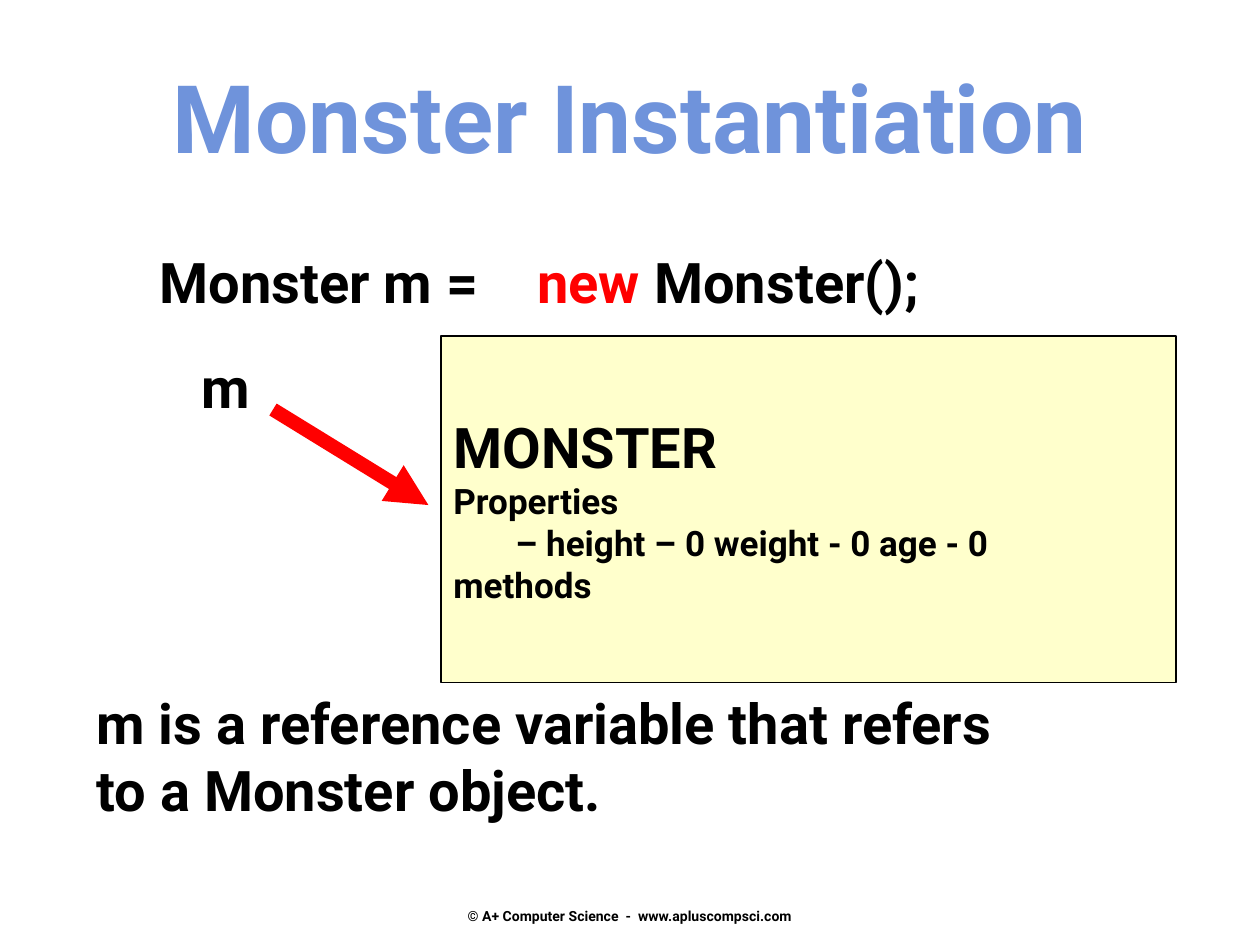
"""Build the Monster Instantiation slide."""
from dataclasses import dataclass

from lxml.etree import SubElement
from pptx import Presentation
from pptx.dml.color import RGBColor
from pptx.enum.shapes import MSO_CONNECTOR, MSO_SHAPE
from pptx.enum.text import MSO_ANCHOR, PP_ALIGN
from pptx.oxml.ns import qn
from pptx.util import Inches, Pt

COLUMNS, ROWS = 120, 90
WIDTH, HEIGHT = Inches(10), Inches(7.5)
BLACK, RED, BLUE, CREAM = "000000", "FF0000", "6F93DB", "FFFFCC"


@dataclass(frozen=True)
class Run:
    """A stretch of text in one size and colour."""
    text: str
    size: float = 32
    color: str = BLACK


@dataclass(frozen=True)
class Line:
    """A paragraph of runs with an optional indent in columns."""
    runs: tuple[Run, ...]
    indent: float = 0


@dataclass(frozen=True)
class Block:
    """A text block placed on the grid as column, row, columns, rows."""
    area: tuple[float, float, float, float]
    lines: tuple[Line, ...]
    align: PP_ALIGN = PP_ALIGN.LEFT
    anchor: MSO_ANCHOR = MSO_ANCHOR.TOP
    margin_bottom: float = 0.05
    fill: str | None = None


def across(columns: float) -> int:
    """Convert grid columns to a length."""
    return round(WIDTH * columns / COLUMNS)


def down(rows: float) -> int:
    """Convert grid rows to a length."""
    return round(HEIGHT * rows / ROWS)


def rgb(value: str) -> RGBColor:
    """Convert a hex string to a colour."""
    return RGBColor.from_string(value)


def apply(target, values: dict) -> None:
    """Set each attribute named in the dict."""
    for name, value in values.items():
        setattr(target, name, value)


def line_of(text: str, size: float = 32, color: str = BLACK, indent: float = 0) -> Line:
    """Make a paragraph with a single run."""
    return Line((Run(text, size, color),), indent)


def add_line(paragraph, line: Line, align: PP_ALIGN) -> None:
    """Fill a paragraph with formatted runs."""
    paragraph.alignment = align
    if line.indent:
        paragraph._p.get_or_add_pPr().set("marL", str(across(line.indent)))
    for item in line.runs:
        run = paragraph.add_run()
        run.text = item.text
        apply(run.font, {"name": "Roboto", "size": Pt(item.size), "bold": True})
        run.font.color.rgb = rgb(item.color)


def add_block(slide, block: Block) -> None:
    """Draw a text box, or a bordered rectangle when a fill is given."""
    left, top, width, height = block.area
    area = across(left), down(top), across(width), down(height)
    if block.fill:
        shape = slide.shapes.add_shape(MSO_SHAPE.RECTANGLE, *area)
        shape.shadow.inherit = False
        shape.fill.solid()
        shape.fill.fore_color.rgb = rgb(block.fill)
        shape.line.color.rgb = rgb(BLACK)
        shape.line.width = Pt(1)
    else:
        shape = slide.shapes.add_textbox(*area)
    frame = shape.text_frame
    apply(frame, {"word_wrap": True, "vertical_anchor": block.anchor,
                  "margin_bottom": Inches(block.margin_bottom)})
    for index, line in enumerate(block.lines):
        paragraph = frame.add_paragraph() if index else frame.paragraphs[0]
        add_line(paragraph, line, block.align)


def add_arrow(slide, start: tuple[float, float], end: tuple[float, float]) -> None:
    """Draw a thick red arrow between two grid points."""
    arrow = slide.shapes.add_connector(
        MSO_CONNECTOR.STRAIGHT, across(start[0]), down(start[1]), across(end[0]), down(end[1]))
    arrow.line.color.rgb = rgb(RED)
    arrow.line.width = Pt(8)
    SubElement(arrow.line._get_or_add_ln(), qn("a:tailEnd"), type="triangle")
    SubElement(arrow._element.spPr, qn("a:effectLst"))


BLOCKS = (
    Block((0, 5, 120, 12), (line_of("Monster Instantiation", 54, BLUE),), PP_ALIGN.CENTER),
    Block((14, 23, 37, 7.5), (line_of("Monster m ="),)),
    Block((50, 23, 44, 7.5), (Line((Run("new", color=RED), Run(" Monster();"))),)),
    Block((18, 33, 7.5, 7.5), (line_of("m"),)),
    Block((42, 32, 70, 33), (
        line_of("MONSTER"),
        line_of("Properties", 20),
        line_of("– height – 0 weight - 0 age - 0", 20, indent=5.9),
        line_of("methods", 20),
    ), anchor=MSO_ANCHOR.MIDDLE, fill=CREAM),
    Block((8, 65, 98, 14), (
        line_of("m is a reference variable that refers"),
        line_of("to a Monster object."),
    )),
    Block((41, 82, 38, 6), (line_of("© A+ Computer Science  -  www.apluscompsci.com", 8),),
          PP_ALIGN.CENTER, MSO_ANCHOR.BOTTOM, margin_bottom=0),
)


def main() -> None:
    """Build and save the presentation."""
    presentation = Presentation()
    apply(presentation, {"slide_width": WIDTH, "slide_height": HEIGHT})
    slide = presentation.slides.add_slide(presentation.slide_layouts[6])
    for block in BLOCKS:
        add_block(slide, block)
    add_arrow(slide, (26, 39), (40.8, 48.1))
    presentation.save("out.pptx")


if __name__ == "__main__":
    main()
